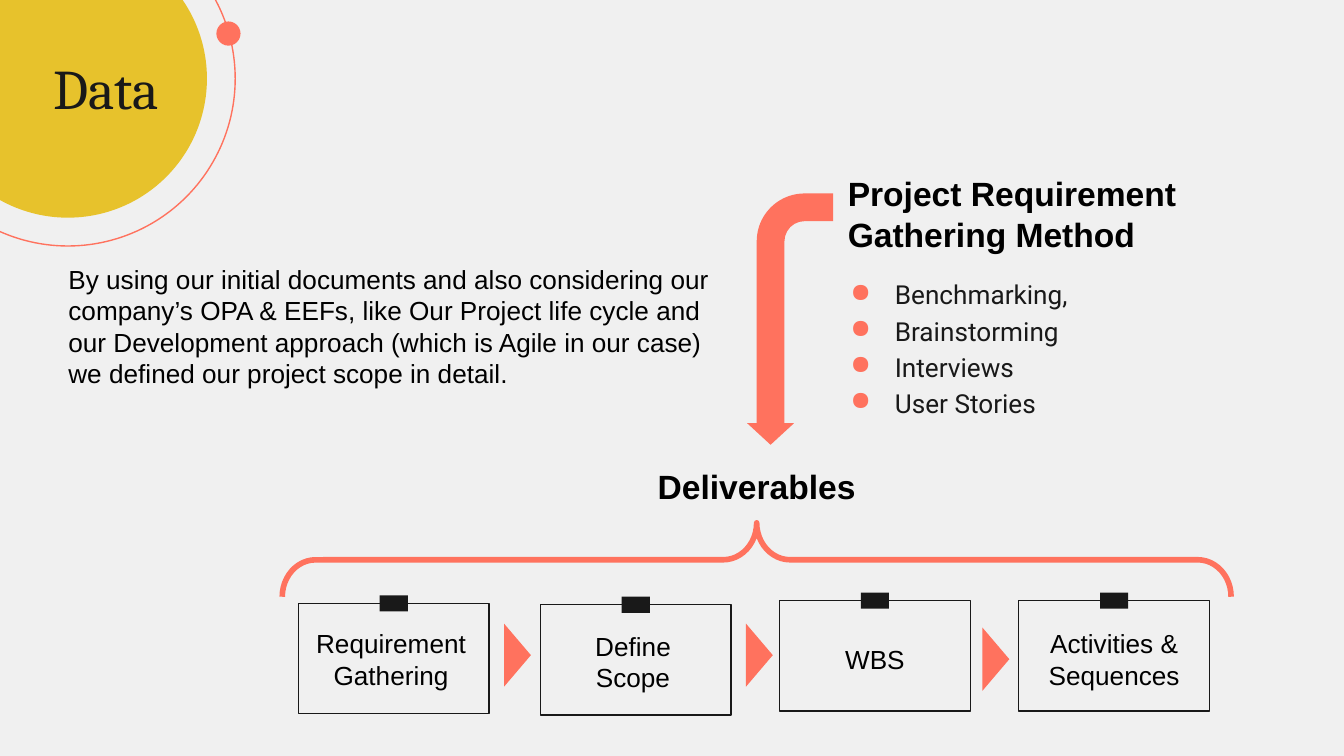
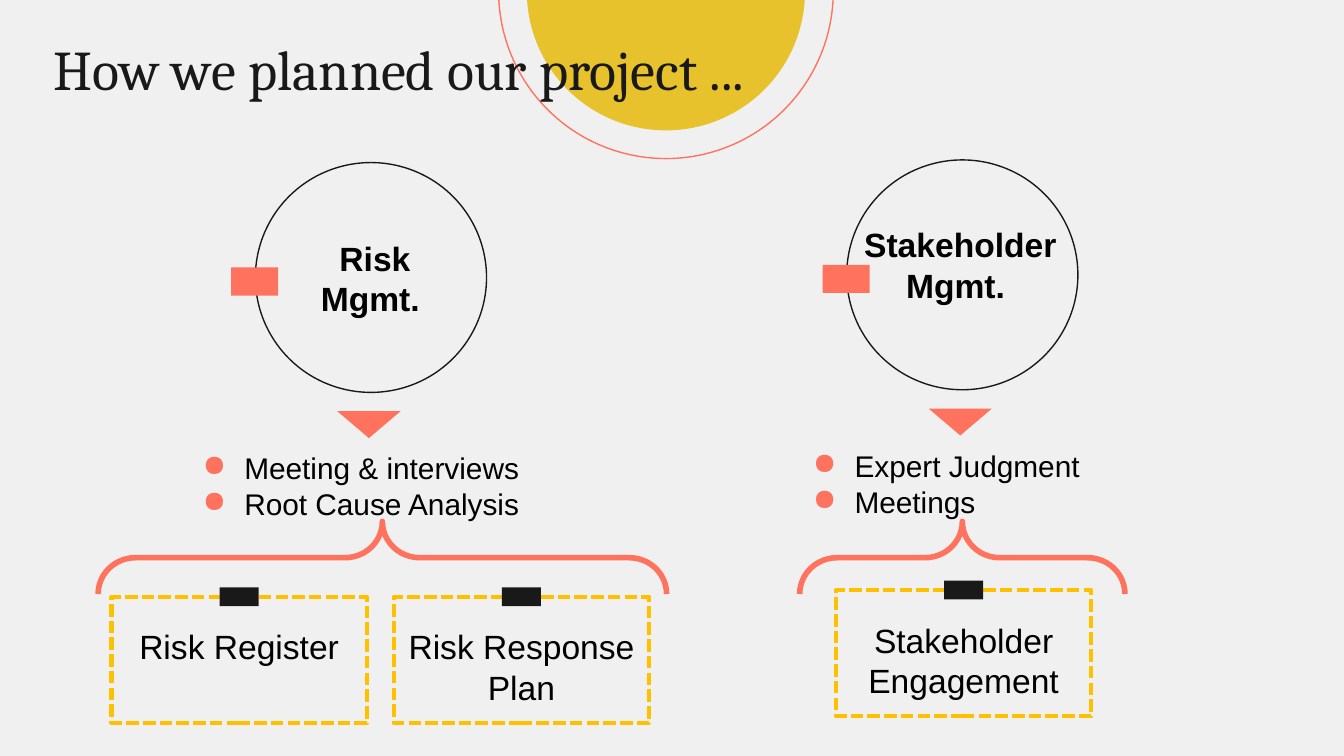
from lxml import etree
from pptx import Presentation
from pptx.dml.color import RGBColor
from pptx.enum.dml import MSO_LINE
from pptx.enum.shapes import MSO_SHAPE
from pptx.enum.text import MSO_ANCHOR, PP_ALIGN
from pptx.oxml.ns import qn
from pptx.util import Pt

PX = 9144  # 100 px to the inch
WIDTH = 1000

PAPER = RGBColor(0xF0, 0xF0, 0xF0)
CORAL = RGBColor(0xFF, 0x72, 0x5E)
SUN = RGBColor(0xE7, 0xC2, 0x2C)
AMBER = RGBColor(0xFF, 0xC0, 0x00)
INK = RGBColor(0x19, 0x19, 0x19)
BLACK = RGBColor(0x00, 0x00, 0x00)

RECT = MSO_SHAPE.RECTANGLE
OVAL = MSO_SHAPE.OVAL
TRIANGLE = MSO_SHAPE.ISOSCELES_TRIANGLE
BRACE = MSO_SHAPE.LEFT_BRACE
BENT_ARROW = MSO_SHAPE.BENT_ARROW
DASH = MSO_LINE.SQUARE_DOT
LEFT, CENTER = PP_ALIGN.LEFT, PP_ALIGN.CENTER
TOP = MSO_ANCHOR.TOP


def emu(box):
    return [round(length * PX) for length in box]


def add_shape(page, kind, box, fill=None, line=None, weight=0.75, dash=None,
              turn=0, flip=False, adjust=()):
    """Add a preset shape; box is the area it covers once it is turned."""
    left, top, width, height = box
    if turn == 90:
        left, top = left + (width - height) / 2, top + (height - width) / 2
        width, height = height, width
    shape = page.shapes.add_shape(kind, *emu((left, top, width, height)))
    shape.shadow.inherit = False
    shape.rotation = turn
    for index, value in enumerate(adjust):
        shape.adjustments[index] = value
    if flip:
        shape._element.spPr.find(qn("a:xfrm")).set("flipV", "1")
    if fill is None:
        shape.fill.background()
    else:
        shape.fill.solid()
        shape.fill.fore_color.rgb = fill
    if line is None:
        shape.line.fill.background()
    else:
        shape.line.color.rgb = line
        shape.line.width = Pt(weight)
        if dash is not None:
            shape.line.dash_style = dash


def add_bullet(para):
    properties = para._p.get_or_add_pPr()
    color = etree.SubElement(properties, qn("a:buClr"))
    etree.SubElement(color, qn("a:srgbClr")).set("val", str(CORAL))
    etree.SubElement(properties, qn("a:buChar")).set("char", "●")


def add_text(page, box, text, size=14, font="Arial", color=BLACK, bold=False,
             align=LEFT, indent=0, hanging=0, spacing=None, bullet=False,
             inset=5):
    """Add a text box with one paragraph for each line of text."""
    frame = page.shapes.add_textbox(*emu(box)).text_frame
    frame.word_wrap = True
    frame.vertical_anchor = TOP
    frame.margin_top = frame.margin_bottom = inset * PX
    frame.margin_left = frame.margin_right = 10 * PX
    for index, words in enumerate(text.split("\n")):
        para = frame.add_paragraph() if index else frame.paragraphs[0]
        para.alignment = align
        if spacing:
            para.line_spacing = spacing
        properties = para._p.get_or_add_pPr()
        properties.set("marL", str(indent * PX))
        properties.set("indent", str(-hanging * PX))
        if bullet:
            add_bullet(para)
        span = para.add_run()
        span.text = words
        span.font.size = Pt(size)
        span.font.name = font
        span.font.bold = bold
        span.font.color.rgb = color


def add_page(deck, title, title_box, sun_corner):
    """Add a page with the shared background, sun and title."""
    page = deck.slides.add_slide(deck.slide_layouts[6])
    page.background.fill.solid()
    page.background.fill.fore_color.rgb = PAPER
    left, top = sun_corner
    add_shape(page, OVAL, (left, top, 249, 249), line=CORAL)
    add_shape(page, OVAL, (left + 21, top + 21, 207, 207), fill=SUN)
    add_text(page, title_box, title, size=30, font="Cambria", color=INK, inset=10)
    return page


def add_brace(page, box, curve):
    add_shape(page, BRACE, box, line=CORAL, weight=3, turn=90,
              adjust=(curve, 0.5))


def add_card(page, box, tab, label, label_box, size, **border):
    """Add a bordered card with a tab on its top edge.

    label_box is the offset from the card's centre, the drop and the width.
    """
    left, top, width, height = box
    tab_width, tab_height = tab
    nudge, drop, label_width = label_box
    add_shape(page, RECT, box, **border)
    add_shape(page, RECT, (left + (width - tab_width) / 2, top - tab_height / 2,
                           tab_width, tab_height), fill=INK)
    add_text(page, (left + (width - label_width) / 2 + nudge, top + drop,
                    label_width, height - drop - 8),
             label, size=size, align=CENTER)


def add_step(page, corner, label, label_box):
    add_card(page, (*corner, 142, 82), (21, 12), label, label_box, 14, line=INK)


def add_output(page, corner, label, label_width):
    add_card(page, (*corner, 190, 94), (29, 14), label, (0, 17, label_width), 18,
             line=AMBER, weight=2.25, dash=DASH)


def add_gathering(page, left, top):
    """Add the requirement methods and the arrow that leads down from them."""
    add_text(page, (left, top, 290, 71), "Project Requirement Gathering Method",
             size=18, bold=True)
    add_text(page, (left - 15, top + 70, 290, 101),
             "Benchmarking,\nBrainstorming\nInterviews\nUser Stories",
             font="Roboto", color=INK, indent=50, hanging=33, spacing=1.15,
             bullet=True, inset=10)
    add_shape(page, BENT_ARROW, (left - 65, top + 20, 64, 187), fill=CORAL,
              turn=90, flip=True, adjust=(0.322, 0.272, 0.25, 0.556))


def add_deliverables(page, left, top):
    add_text(page, (left + 246, top, 214, 40), "Deliverables", size=18,
             bold=True, align=CENTER)
    add_brace(page, (left, top + 47, 706, 55), 0.452)
    steps = [
        ((222, 449), "Requirement Gathering", (-2, 13, 142)),
        ((402, 450), "Define Scope", (-2, 14, 114)),
        ((580, 447), "WBS", (0, 27, 114)),
        ((758, 447), "Activities & Sequences", (0, 15, 128)),
    ]
    for (x, y), label, label_box in steps:
        add_step(page, (left + x - 210, top + y - 342), label, label_box)
    for x, y in ((165, 122), (345, 122), (521, 125)):
        add_shape(page, TRIANGLE, (left + x, top + y, 20, 47), fill=CORAL, turn=90)


def add_management(page, corner, name, name_box, methods, list_box):
    """Add a named circle, its arrow and its methods, all relative to corner."""
    left, top = corner
    name_x, name_y, name_width = name_box
    list_x, list_width = list_box
    add_text(page, (left + name_x, top + name_y, name_width, 71), name, size=18,
             bold=True, align=CENTER, indent=17)
    add_shape(page, OVAL, (left, top, 172, 171), line=INK)
    add_shape(page, RECT, (left - 18, top + 78, 35, 21), fill=CORAL)
    add_shape(page, TRIANGLE, (left + 61, top + 185, 47, 20), fill=CORAL, turn=180)
    add_text(page, (left + list_x, top + 209, list_width, 64), methods, size=16,
             indent=31, hanging=31, bullet=True)


def build_data(deck):
    page = add_page(deck, "Data", (30, 30, 843, 63), (-74, -66))
    add_shape(page, OVAL, (161, 16, 18, 18), fill=CORAL)
    add_text(page, (24, 191, 525, 104),
             "By using our initial documents and also considering our company’s "
             "OPA & EEFs, like Our Project life cycle and our Development approach "
             "(which is Agile in our case) we defined our project scope in detail.",
             indent=17)
    add_gathering(page, 621, 124)
    add_deliverables(page, 210, 342)


def build_planning(deck):
    page = add_page(deck, "How we planned our project ...",
                    (30, 16, 965, 63), (371, -131))
    add_management(page, (190, 121), "Risk Mgmt. ", (0, 51, 161),
                   "Meeting & interviews\nRoot Cause Analysis", (-49, 273))
    add_management(page, (630, 119), "Stakeholder Mgmt. ", (-45, 43, 242),
                   "Expert Judgment\nMeetings", (-35, 242))
    for left, width in ((73, 423), (595, 242)):
        add_brace(page, (left, 388, width, 54), 0.514)
    add_output(page, (83, 444), "Risk Register", 190)
    add_output(page, (293, 444), "Risk Response\nPlan", 218)
    add_output(page, (622, 439), "Stakeholder Engagement", 202)


def main():
    deck = Presentation()
    deck.slide_width = WIDTH * PX
    deck.slide_height = WIDTH * PX * 9 // 16
    build_data(deck)
    build_planning(deck)
    deck.save("out.pptx")


if __name__ == "__main__":
    main()
